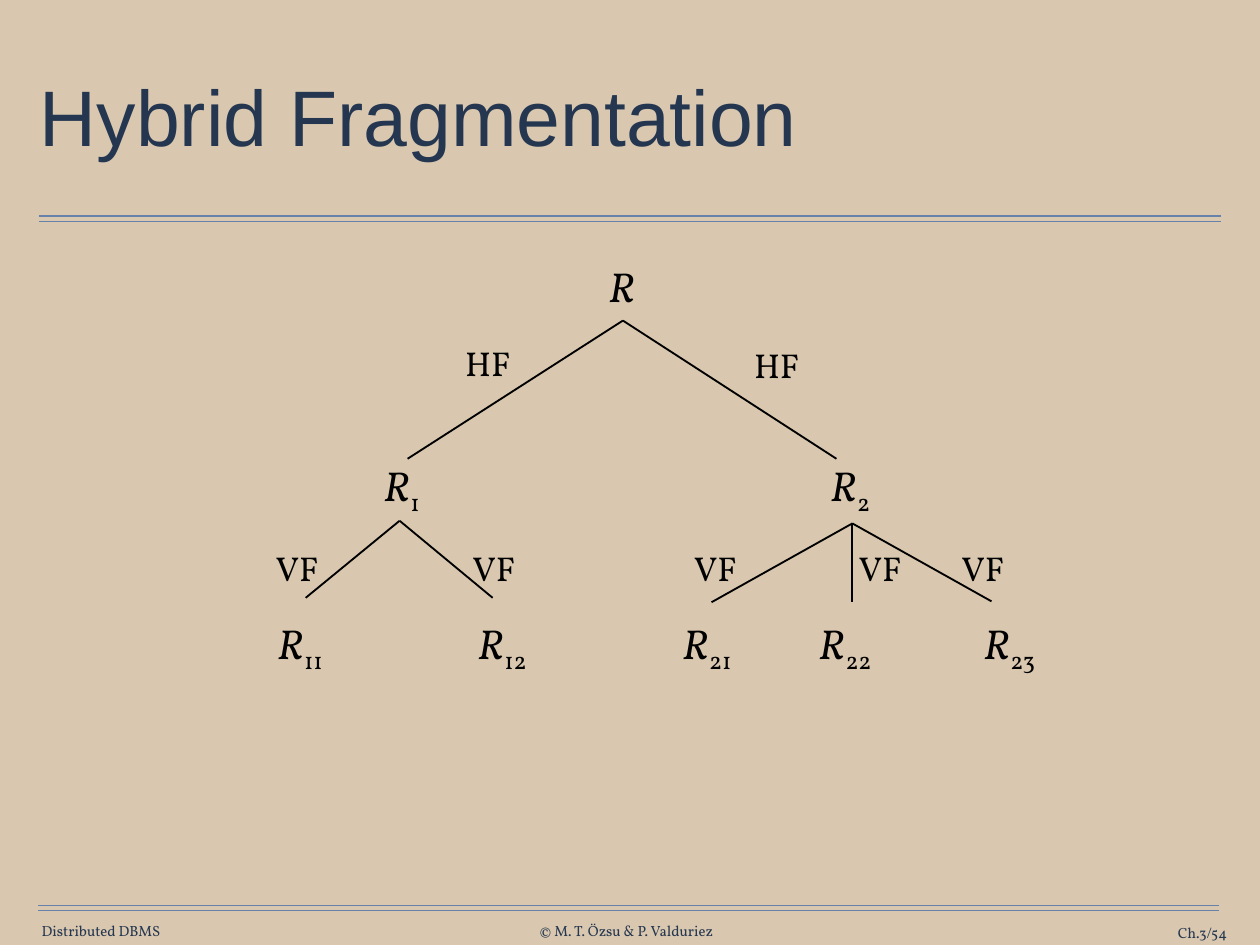
"""Builds the hybrid fragmentation tree slide."""
from lxml import etree
from pptx import Presentation
from pptx.dml.color import RGBColor
from pptx.enum.shapes import MSO_CONNECTOR
from pptx.enum.text import MSO_ANCHOR, MSO_AUTO_SIZE, PP_ALIGN
from pptx.oxml.ns import qn
from pptx.util import Inches, Pt

STRAIGHT = MSO_CONNECTOR.STRAIGHT
TOP, MIDDLE = MSO_ANCHOR.TOP, MSO_ANCHOR.MIDDLE
LEFT, RIGHT = PP_ALIGN.LEFT, PP_ALIGN.RIGHT
NO_AUTOFIT = MSO_AUTO_SIZE.NONE

SAND = RGBColor(0xD9, 0xC8, 0xAF)
NAVY = RGBColor(0x25, 0x37, 0x50)
FOOTER_NAVY = RGBColor(0x26, 0x37, 0x50)
RULE_BLUE = RGBColor(0x66, 0x82, 0xAA)
BLACK = RGBColor(0, 0, 0)

TITLE_FONT = "Arial"
BODY_FONT = "Vollkorn"

RULES = [(0.44, 13.78, 2.44), (0.43, 13.76, 10.22)]
RULE_GAP = 0.06
FOOTERS = [
    ("Distributed DBMS", 0.47, 10.41, 1.38, LEFT),
    ("© M. T. Özsu & P. Valduriez", 6.09, 10.41, 2.08, LEFT),
    ("Ch.3/54", 12.31, 10.43, 1.54, RIGHT),
]
RELATIONS = [
    ("", 6.73, 2.87, 0.7),
    ("1", 4.19, 5.12, 0.81),
    ("2", 9.23, 5.12, 0.81),
    ("11", 2.99, 6.9, 0.94),
    ("12", 5.25, 6.9, 0.99),
    ("21", 7.56, 6.9, 0.99),
    ("22", 9.1, 6.9, 0.99),
    ("23", 10.96, 6.9, 0.99),
]
OPERATIONS = [
    ("HF", 5.11, 3.79, 0.83),
    ("HF", 8.37, 3.82, 0.83),
    ("VF", 2.97, 6.11, 0.79),
    ("VF", 5.19, 6.11, 0.79),
    ("VF", 7.69, 6.11, 0.79),
    ("VF", 9.55, 6.11, 0.79),
    ("VF", 10.71, 6.11, 0.79),
]
BRANCHES = [
    ((7.03, 3.62), [(4.6, 5.18), (9.44, 5.18)]),
    ((4.51, 5.88), [(3.45, 6.75), (5.56, 6.75)]),
    ((9.62, 5.91), [(8.03, 6.8), (9.62, 6.8), (11.19, 6.79)]),
]


class TreeSlide:
    """Holds the style and the current slide."""

    def __init__(self, deck):
        self.slide = deck.slides.add_slide(deck.slide_layouts[5])
        background = self.slide.background.fill
        background.solid()
        background.fore_color.rgb = SAND

    def style_frame(self, frame, anchor, side, end):
        frame.word_wrap = True
        frame.auto_size = NO_AUTOFIT
        frame.vertical_anchor = anchor
        frame.margin_left = frame.margin_right = Inches(side)
        frame.margin_top = frame.margin_bottom = Inches(end)

    def style_run(self, run, font, size, color, italic=False):
        run.font.name = font
        run.font.size = Pt(size)
        run.font.color.rgb = color
        run.font.italic = italic

    def title(self, wording):
        heading = self.slide.shapes.title
        heading.left, heading.top = Inches(0.39), Inches(0.49)
        heading.width, heading.height = Inches(13.44), Inches(1.76)
        frame = heading.text_frame
        frame.text = wording
        self.style_frame(frame, MIDDLE, 0.06, 0.06)
        paragraph = frame.paragraphs[0]
        paragraph.alignment = LEFT
        paragraph.line_spacing = 0.9
        self.style_run(paragraph.runs[0], TITLE_FONT, 64, NAVY)

    def line(self, start, end, color, width):
        points = [Inches(value) for value in (*start, *end)]
        connector = self.slide.shapes.add_connector(STRAIGHT, *points)
        connector.line.color.rgb = color
        connector.line.width = Pt(width)
        properties = connector._element.spPr
        etree.SubElement(properties, qn("a:effectLst"))

    def text(self, wording, box, size, color, align=LEFT, anchor=TOP,
             margins=(0.14, 0.07), italic=False):
        place = [Inches(value) for value in box]
        frame = self.slide.shapes.add_textbox(*place).text_frame
        frame.text = wording
        self.style_frame(frame, anchor, *margins)
        paragraph = frame.paragraphs[0]
        paragraph.alignment = align
        self.style_run(paragraph.runs[0], BODY_FONT, size, color, italic)
        return paragraph

    def relation(self, index, left, top, width):
        paragraph = self.text("R", (left, top, width, 0.71), 34, BLACK,
                              italic=True)
        if index:
            subscript = paragraph.add_run()
            subscript.text = index
            self.style_run(subscript, BODY_FONT, 34, BLACK)
            subscript.font._element.set("baseline", "-25000")

    def operation(self, wording, left, top, width):
        self.text(wording, (left, top, width, 0.61), 28, BLACK)

    def footer(self, wording, left, top, width, align):
        self.text(wording, (left, top, width, 0.2), 12, FOOTER_NAVY, align,
                  MIDDLE, (0, 0))


def main():
    deck = Presentation()
    deck.slide_width, deck.slide_height = Inches(14.22), Inches(10.67)
    tree = TreeSlide(deck)
    tree.title("Hybrid Fragmentation")
    for left, right, top in RULES:
        for y in (top, top + RULE_GAP):
            tree.line((left, y), (right, y), RULE_BLUE, 1)
    for footer in FOOTERS:
        tree.footer(*footer)
    for relation in RELATIONS:
        tree.relation(*relation)
    for operation in OPERATIONS:
        tree.operation(*operation)
    for parent, children in BRANCHES:
        for child in children:
            tree.line(parent, child, BLACK, 1.5)
    deck.save("out.pptx")


if __name__ == "__main__":
    main()
